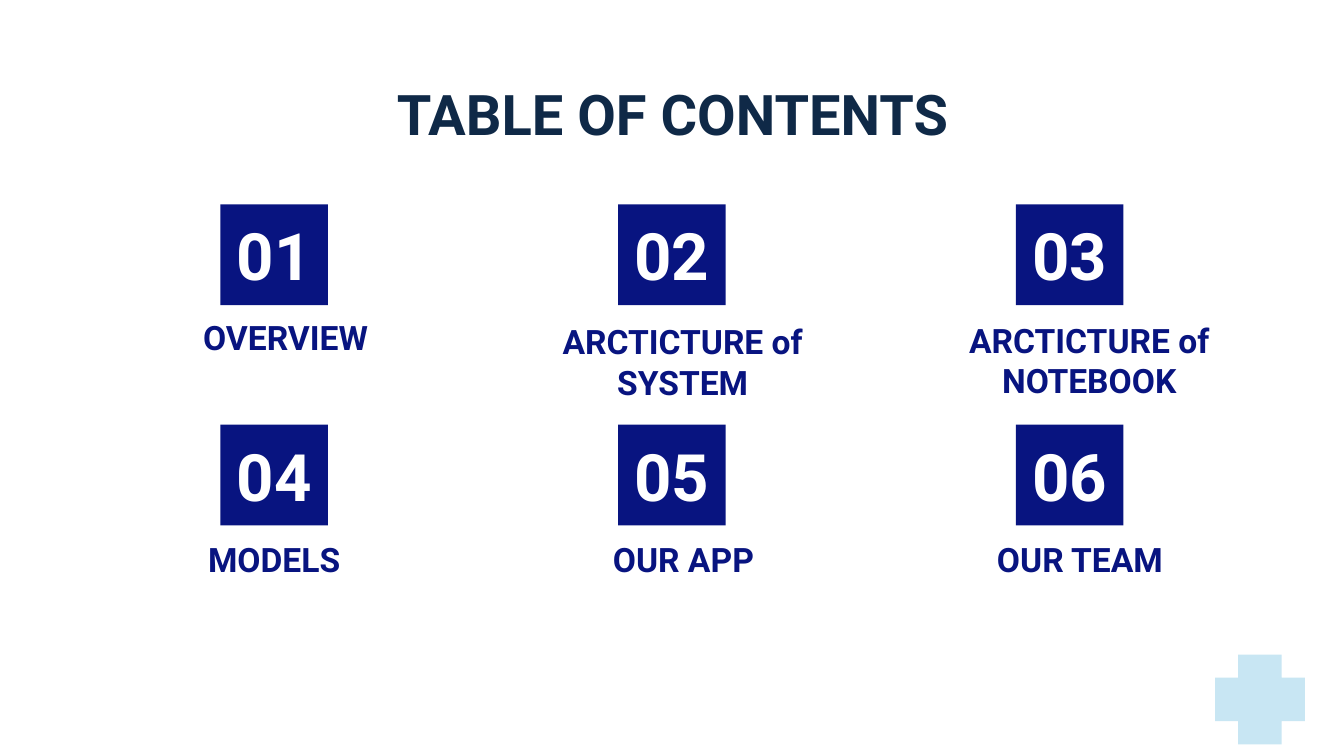
from pptx import Presentation
from pptx.dml.color import RGBColor
from pptx.enum.shapes import MSO_SHAPE as SHAPE
from pptx.enum.text import MSO_ANCHOR as ANCHOR, MSO_AUTO_SIZE as AUTO, PP_ALIGN as ALIGN
from pptx.util import Inches, Pt

NAVY, BLUE, PALE, WHITE = "0F2947", "081480", "C8E6F3", "FFFFFF"

TITLE = "TABLE OF CONTENTS"
SECTIONS = [
    dict(label="OVERVIEW", box=(0.78, 2.26, 2.52, 0.49), hanging=True),
    dict(label="ARCTICTURE of SYSTEM", box=(3.75, 2.29, 2.66, 0.53)),
    dict(label="ARCTICTURE of NOTEBOOK", box=(6.69, 2.28, 2.83, 0.53)),
    dict(label="MODELS", box=(0.78, 3.91, 2.52, 0.49)),
    dict(label="OUR APP", box=(3.74, 3.91, 2.52, 0.49), hanging=True),
    dict(label="OUR TEAM", box=(6.69, 3.91, 2.52, 0.49), hanging=True),
]
COLUMNS = 3
GRID_LEFT, GRID_TOP = 1.64, 1.52
COLUMN_STEP, ROW_STEP = 2.96, 1.64
TILE_W, TILE_H = 0.8, 0.75


def rgb(value):
    return RGBColor.from_string(value)


def inches(*values):
    return [Inches(v) for v in values]


def write(s, text, size=18, color=BLUE, anchor=ANCHOR.TOP, hanging=False):
    tf = s.text_frame
    tf.auto_size = AUTO.NONE
    tf.word_wrap = True
    tf.vertical_anchor = anchor
    tf.margin_left = tf.margin_right = tf.margin_top = tf.margin_bottom = Inches(0.1)
    p = tf.paragraphs[0]
    p.alignment = ALIGN.CENTER
    if hanging:
        pPr = p._p.get_or_add_pPr()
        pPr.set("marL", str(Inches(0.5)))
        pPr.set("indent", str(Inches(-0.33)))
    r = p.add_run()
    r.text = text
    r.font.name = "Roboto"
    r.font.size = Pt(size)
    r.font.bold = True
    r.font.color.rgb = rgb(color)


def add_shape(sld, kind, box, color):
    s = sld.shapes.add_shape(kind, *inches(*box))
    s.shadow.inherit = False
    s.fill.solid()
    s.fill.fore_color.rgb = rgb(color)
    s.line.fill.background()
    return s


def main():
    prs = Presentation()
    prs.slide_width = Inches(10)
    prs.slide_height = prs.slide_width * 9 // 16
    sld = prs.slides.add_slide(prs.slide_layouts[5])
    sld.background.fill.solid()
    sld.background.fill.fore_color.rgb = rgb(WHITE)

    title = sld.shapes.title
    title.left, title.top, title.width, title.height = inches(0.79, 0.49, 8.43, 0.63)
    write(title, TITLE, size=30, color=NAVY)

    plus = add_shape(sld, SHAPE.MATH_PLUS, (8.92, 4.75, 0.91, 0.91), PALE)
    plus.adjustments[0] = 0.356

    for i, section in enumerate(SECTIONS):
        row, col = divmod(i, COLUMNS)
        left = GRID_LEFT + col * COLUMN_STEP
        top = GRID_TOP + row * ROW_STEP
        tile = add_shape(sld, SHAPE.RECTANGLE, (left, top, TILE_W, TILE_H), BLUE)
        write(tile, f"{i + 1:02}", size=35, color=WHITE, anchor=ANCHOR.MIDDLE)
        label = sld.shapes.add_textbox(*inches(*section["box"]))
        write(label, section["label"], hanging=section.get("hanging", False))

    prs.save("out.pptx")


if __name__ == "__main__":
    main()
